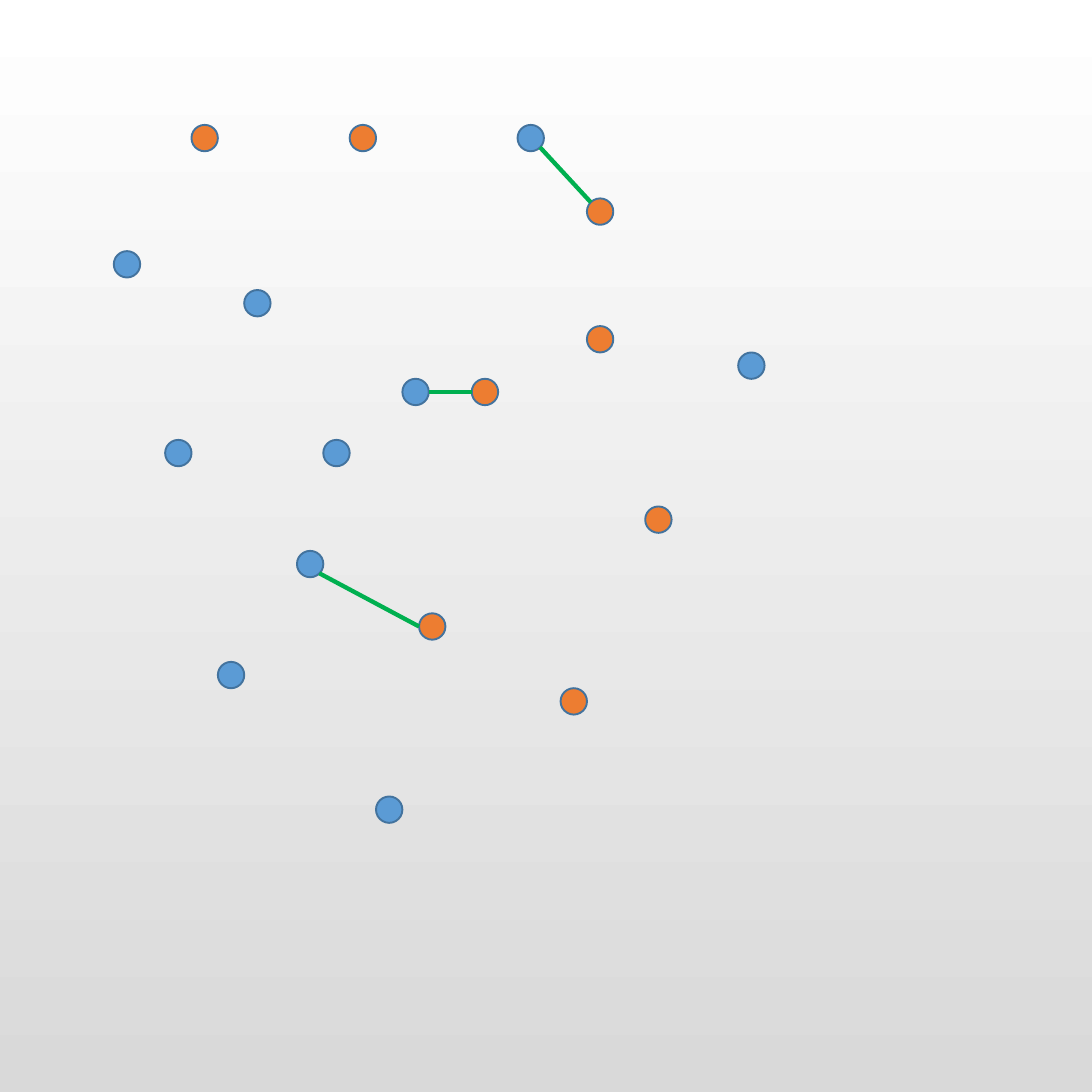
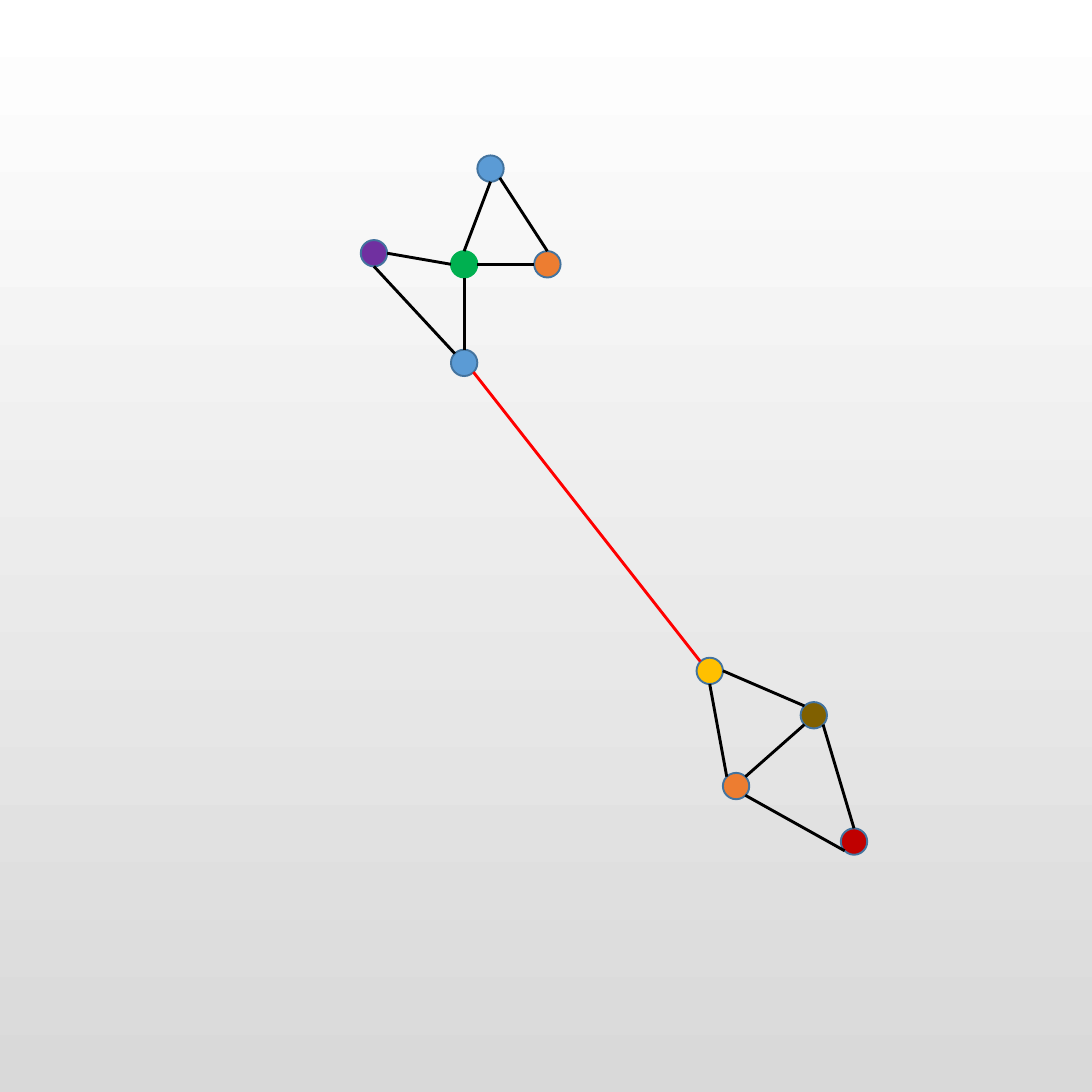
from math import cos, radians, sin

from lxml.etree import SubElement
from pptx import Presentation
from pptx.dml.color import RGBColor
from pptx.enum.shapes import MSO_CONNECTOR, MSO_SHAPE
from pptx.oxml.ns import qn
from pptx.util import Inches, Pt

SIDE = 7.87
DOT = 0.19
BLUE, ORANGE, GREEN = "5B9BD5", "ED7D31", "00B050"
OUTLINE, BLACK, RED = "43739E", "000000", "FF0000"
ANGLES = {name: 45 * step for step, name in
          enumerate(["E", "SE", "S", "SW", "W", "NW", "N", "NE"])}

BLUE_DOTS = [(0.82, 1.81), (5.32, 2.54), (1.76, 2.09), (2.71, 5.74), (1.19, 3.17),
             (3.73, 0.9), (1.57, 4.77), (2.33, 3.17), (2.9, 2.73), (2.14, 3.97)]
ORANGE_DOTS = [(4.23, 1.43), (3.4, 2.73), (4.23, 2.35), (1.38, 0.9),
               (2.52, 0.9), (4.04, 4.96), (3.02, 4.42), (4.65, 3.65)]
MATCHES = [((2.9, 2.73), "E", (3.4, 2.73), "W"),
           ((2.14, 3.97), "SE", (3.02, 4.42), "W"),
           ((3.73, 0.9), "SE", (4.23, 1.43), "NW")]

NODES = {
    "hub": (3.25, 1.81, GREEN, GREEN),
    "purple": (2.6, 1.73, "7030A0", OUTLINE),
    "upper blue": (3.44, 1.12, BLUE, OUTLINE),
    "lower blue": (3.25, 2.52, BLUE, OUTLINE),
    "yellow": (5.02, 4.74, "FFC000", OUTLINE),
    "olive": (5.77, 5.06, "806000", OUTLINE),
    "upper orange": (3.85, 1.81, ORANGE, OUTLINE),
    "lower orange": (5.21, 5.57, ORANGE, OUTLINE),
    "dark red": (6.06, 5.97, "C00000", OUTLINE),
}
EDGES = [
    ("purple", "E", "hub", "W", BLACK),
    ("upper blue", "S", "hub", "N", BLACK),
    ("hub", "S", "lower blue", "N", BLACK),
    ("hub", "E", "upper orange", "W", BLACK),
    ("yellow", "S", "lower orange", "NW", BLACK),
    ("yellow", "E", "olive", "NW", BLACK),
    ("lower orange", "SE", "dark red", "SW", BLACK),
    ("olive", "SE", "dark red", "N", BLACK),
    ("lower orange", "NE", "olive", "SW", BLACK),
    ("lower blue", "SE", "yellow", "NW", RED),
    ("purple", "S", "lower blue", "NW", BLACK),
    ("upper blue", "SE", "upper orange", "N", BLACK),
]


def color(value):
    return RGBColor.from_string(value)


def set_background(master):
    fill = master.background.fill
    fill.gradient()
    fill.gradient_angle = 270
    for stop, value in zip(fill.gradient_stops, ["FFFFFF", "D9D9D9"]):
        stop.color.rgb = color(value)


def add_dot(shapes, left, top, fill, outline=OUTLINE):
    dot = shapes.add_shape(MSO_SHAPE.OVAL, Inches(left), Inches(top),
                           Inches(DOT), Inches(DOT))
    dot.shadow.inherit = False
    dot.fill.solid()
    dot.fill.fore_color.rgb = color(fill)
    dot.line.color.rgb = color(outline)
    dot.line.width = Pt(1)
    return dot


def rim_point(dot, side):
    angle, radius = radians(ANGLES[side]), dot.width / 2
    return (round(dot.left + radius * (1 + cos(angle))),
            round(dot.top + radius * (1 + sin(angle))))


def add_edge(shapes, start, start_side, end, end_side, stroke, width):
    edge = shapes.add_connector(MSO_CONNECTOR.STRAIGHT, *rim_point(start, start_side),
                                *rim_point(end, end_side))
    edge.line.color.rgb = color(stroke)
    edge.line.width = Pt(width)
    SubElement(edge.element.spPr, qn("a:effectLst"))


def build_matching(page):
    shapes = page.shapes.add_group_shape().shapes
    dots = {}
    for fill, places in [(BLUE, BLUE_DOTS), (ORANGE, ORANGE_DOTS)]:
        for place in places:
            dots[place] = add_dot(shapes, *place, fill)
    for start, start_side, end, end_side in MATCHES:
        add_edge(shapes, dots[start], start_side, dots[end], end_side, GREEN, 2.25)


def build_network(page):
    dots = {name: add_dot(page.shapes, *node) for name, node in NODES.items()}
    for start, start_side, end, end_side, stroke in EDGES:
        add_edge(page.shapes, dots[start], start_side, dots[end], end_side, stroke, 1.5)


def main():
    deck = Presentation()
    deck.slide_width = deck.slide_height = Inches(SIDE)
    set_background(deck.slide_master)
    for build in [build_matching, build_network]:
        build(deck.slides.add_slide(deck.slide_layouts[6]))
    deck.save("out.pptx")


main()
